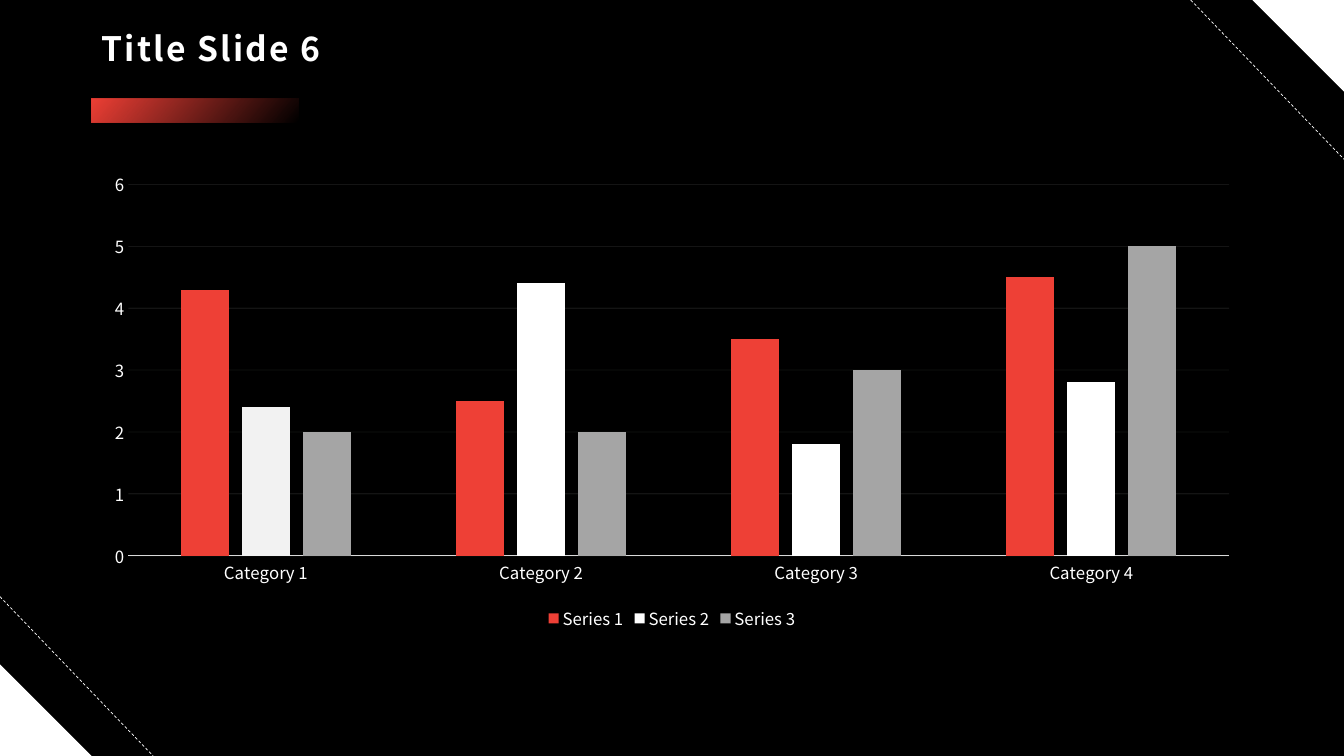
import pptx
import pptx.chart.data
import pptx.dml.color
import pptx.enum.chart
import pptx.enum.dml
import pptx.enum.shapes
import pptx.enum.text
import pptx.oxml
import pptx.oxml.ns
import pptx.util

TITLE = "Title Slide 6"
CATEGORIES = ["Category 1", "Category 2", "Category 3", "Category 4"]
SERIES = [
    ("Series 1", [4.3, 2.5, 3.5, 4.5], "accent"),
    ("Series 2", [2.4, 4.4, 1.8, 2.8], "white"),
    ("Series 3", [2, 2, 3, 5], "gray"),
]
COLORS = {
    "black": "000000", "white": "FFFFFF", "accent": "EE4036", "gray": "A5A5A5",
    "pale": "F2F2F2", "axis": "D9D9D9", "grid": "E7E8E7",
}
TITLE_FONT, CHART_FONT = "Noto Sans CJK TC", "Noto Sans CJK JP"
W, H = 13.33, 7.5
MARGIN = 0.91
CONTENT_W = W - 2 * MARGIN
CORNER = 0.91
DASH_W, DASH_H = 1.52, 1.58

Inches, Pt = pptx.util.Inches, pptx.util.Pt
SHAPE = pptx.enum.shapes.MSO_SHAPE


def rgb(name):
    return pptx.dml.color.RGBColor.from_string(COLORS[name])


def box(*lengths):
    return [Inches(v) for v in lengths]


def format_font(font, name=CHART_FONT, size=12, color="white", bold=False):
    font.name, font.size, font.bold = name, Pt(size), bold
    font.color.rgb = rgb(color)


def write(tf, text, spacing=0, line_spacing=1.0, **fmt):
    p = tf.paragraphs[0]
    p.alignment = pptx.enum.text.PP_ALIGN.LEFT
    p.line_spacing = line_spacing
    r = p.add_run()
    r.text = text
    format_font(r.font, **fmt)
    r.font._element.set("spc", str(int(spacing * 100)))


def set_alpha(color_element, percent):
    alpha = pptx.oxml.parse_xml(
        f'<a:alpha {pptx.oxml.ns.nsdecls("a")} val="{percent * 1000}"/>')
    color_element.append(alpha)


def add_plain_shape(s, kind, *at):
    sp = s.shapes.add_shape(kind, *box(*at))
    sp.shadow.inherit = False
    sp.line.fill.background()
    return sp


def add_corner(s, left, top, rotation):
    sp = add_plain_shape(s, SHAPE.RIGHT_TRIANGLE, left, top, CORNER, CORNER)
    sp.rotation = rotation
    sp.fill.solid()
    sp.fill.fore_color.rgb = rgb("white")


def add_dashed_line(s, left, top):
    line = s.shapes.add_connector(
        pptx.enum.shapes.MSO_CONNECTOR.STRAIGHT,
        *box(left, top, left + DASH_W, top + DASH_H))
    line.line.color.rgb = rgb("white")
    line.line.width = Pt(0.5)
    line.line.dash_style = pptx.enum.dml.MSO_LINE.DASH
    line._element.spPr.append(
        pptx.oxml.parse_xml(f'<a:effectLst {pptx.oxml.ns.nsdecls("a")}/>'))


def add_title_bar(s):
    sp = add_plain_shape(s, SHAPE.RECTANGLE, MARGIN, 0.98, 2.05, 0.24)
    sp.fill.gradient()
    sp.fill.gradient_angle = 320
    for stop, position in zip(sp.fill.gradient_stops, (0, 0.99)):
        stop.color.rgb = rgb("accent")
        stop.position = position
    set_alpha(sp._element.xpath(".//a:gs/a:srgbClr")[-1], 0)


def add_column_chart(s):
    data = pptx.chart.data.CategoryChartData()
    data.categories = CATEGORIES
    for name, values, _ in SERIES:
        data.add_series(name, values)
    chart = s.shapes.add_chart(
        pptx.enum.chart.XL_CHART_TYPE.COLUMN_CLUSTERED,
        *box(MARGIN, 1.61, CONTENT_W, 4.69), data).chart
    format_font(chart.font, size=10)
    chart.has_title = False
    chart.has_legend = True
    chart.legend.position = pptx.enum.chart.XL_LEGEND_POSITION.BOTTOM
    chart.legend.include_in_layout = False
    format_font(chart.legend.font)

    plot = chart.plots[0]
    plot.gap_width, plot.overlap, plot.vary_by_categories = 219, -27, False
    for series, (_, _, color) in zip(plot.series, SERIES):
        series.format.fill.solid()
        series.format.fill.fore_color.rgb = rgb(color)
    first_point = plot.series[1].points[0].format.fill
    first_point.solid()
    first_point.fore_color.rgb = rgb("pale")

    for axis in (chart.category_axis, chart.value_axis):
        axis.major_tick_mark = pptx.enum.chart.XL_TICK_MARK.NONE
        axis.minor_tick_mark = pptx.enum.chart.XL_TICK_MARK.NONE
        format_font(axis.tick_labels.font)
    chart.category_axis.format.line.color.rgb = rgb("axis")
    chart.category_axis.format.line.width = Pt(0.75)

    values = chart.value_axis
    values.minimum_scale, values.maximum_scale, values.major_unit = 0, 6, 1
    values.format.line.fill.background()
    grid = values.major_gridlines.format.line
    grid.color.rgb = rgb("grid")
    grid.width = Pt(0.25)
    set_alpha(values._element.xpath("./c:majorGridlines//a:srgbClr")[0], 25)


def main():
    prs = pptx.Presentation()
    prs.slide_width, prs.slide_height = box(W, H)
    s = prs.slides.add_slide(prs.slide_layouts[5])
    s.background.fill.solid()
    s.background.fill.fore_color.rgb = rgb("black")

    add_corner(s, 0, H - CORNER, 0)
    add_corner(s, W - CORNER, 0, 180)
    add_dashed_line(s, 0, H - DASH_H)
    add_dashed_line(s, W - DASH_W, 0)
    add_title_bar(s)

    title = s.shapes.title
    title.left, title.top, title.width, title.height = box(
        MARGIN, 0.18, CONTENT_W, 0.64)
    title.text_frame.vertical_anchor = pptx.enum.text.MSO_ANCHOR.MIDDLE
    write(title.text_frame, TITLE, spacing=1.5, line_spacing=0.9,
          name=TITLE_FONT, size=24, bold=True)
    add_column_chart(s)
    prs.save("out.pptx")


if __name__ == "__main__":
    main()
